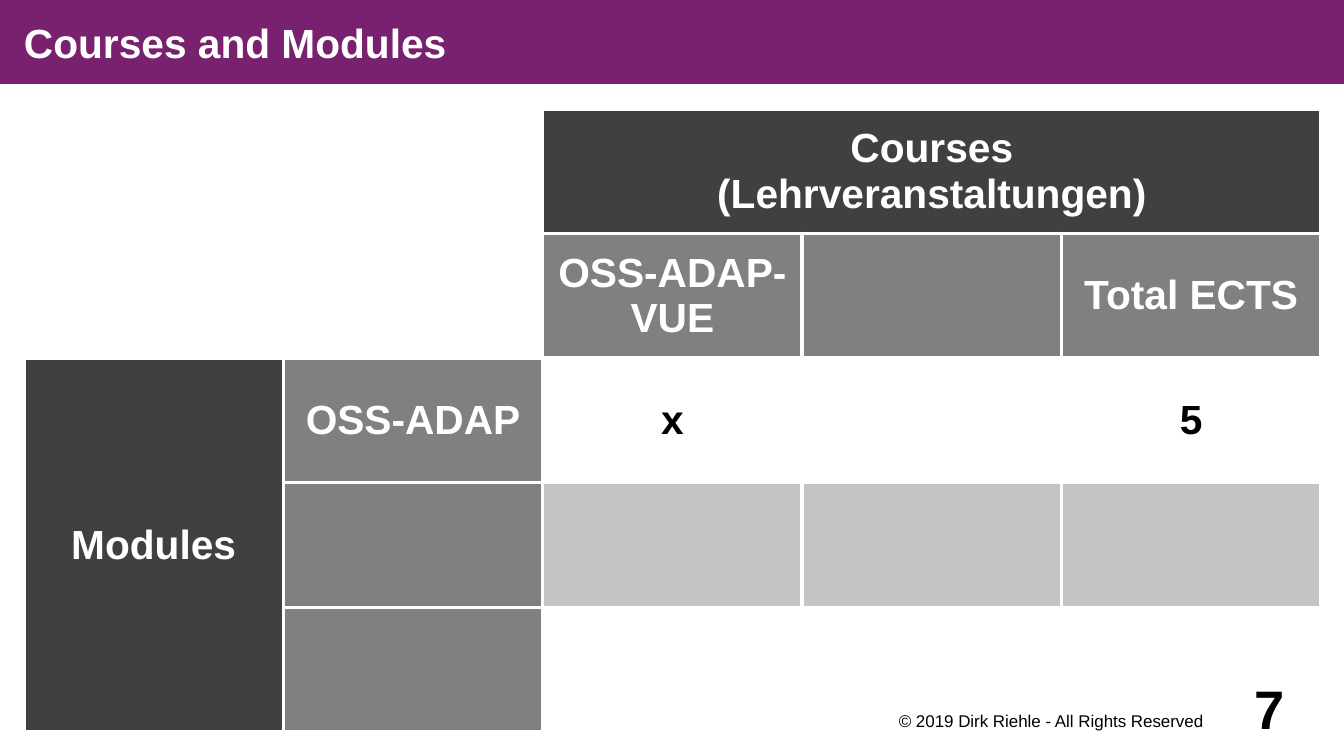
from lxml import etree
from pptx import Presentation
from pptx.dml.color import RGBColor
from pptx.enum.shapes import MSO_SHAPE
from pptx.enum.text import MSO_ANCHOR, PP_ALIGN
from pptx.oxml.ns import qn
from pptx.util import Pt

RECTANGLE = MSO_SHAPE.RECTANGLE
TOP, MIDDLE = MSO_ANCHOR.TOP, MSO_ANCHOR.MIDDLE
LEFT, CENTER, RIGHT = PP_ALIGN.LEFT, PP_ALIGN.CENTER, PP_ALIGN.RIGHT

FONT = "Arial"
COLORS = {
    "purple": "77216F", "white": "FFFFFF", "black": "000000",
    "dark": "404040", "gray": "808080", "light": "C4C4C4",
}
TITLE = "Courses and Modules"
COPYRIGHT = "© 2019 Dirk Riehle - All Rights Reserved"
PAGE_NUMBER = "7"

# Each cell is (text, fill)
ROWS = [
    [("", "white"), ("", "white"), ("Courses\n(Lehrveranstaltungen)", "dark"),
     ("", "dark"), ("", "dark")],
    [("", "white"), ("", "white"), ("OSS-ADAP-VUE", "gray"), ("", "gray"),
     ("Total ECTS", "gray")],
    [("Modules", "dark"), ("OSS-ADAP", "gray"), ("x", "white"), ("", "white"),
     ("5", "white")],
    [("", "dark"), ("", "gray"), ("", "light"), ("", "light"), ("", "light")],
    [("", "dark"), ("", "gray"), ("", "white"), ("", "white"), ("", "white")],
]
MERGES = [((0, 2), (0, 4)), ((2, 0), (4, 0))]

# Lengths in px
SLIDE_SIZE = (1344, 756)
TITLE_BOX = (0, 0, 1344, 84)
TABLE_BOX = (24, 109, 1297, 623)
COPYRIGHT_BOX = (865, 709, 384, 37)
NUMBER_BOX = (1225, 672, 96, 72)
TITLE_INSETS = (24, 0, 0, 0)
CELL_INSETS = (10, 6, 10, 6)
COPYRIGHT_INSETS = (0, 2, 46, 0)
NUMBER_INSETS = (0, 0, 36, 0)
BORDER_POINTS = 2.27


def px(length):
    return round(length * 914400 / 122)


def rgb(name):
    return RGBColor.from_string(COLORS[name])


def write(frame, text, size, color, bold, align):
    """Fill the first paragraph, with a line break at each newline."""
    paragraph = frame.paragraphs[0]
    paragraph.alignment = align
    for index, line in enumerate(text.split("\n")):
        if index:
            paragraph.add_line_break()
        run = paragraph.add_run()
        run.text = line
        run.font.name = FONT
        run.font.size = Pt(size)
        run.font.bold = bold
        run.font.color.rgb = rgb(color)


def set_insets(holder, insets):
    """Set the margins of a text frame or a table cell."""
    (holder.margin_left, holder.margin_top,
     holder.margin_right, holder.margin_bottom) = map(px, insets)


def add_label(slide, box, insets, anchor, text, size, bold):
    frame = slide.shapes.add_textbox(*map(px, box)).text_frame
    frame.word_wrap = True
    frame.vertical_anchor = anchor
    set_insets(frame, insets)
    write(frame, text, size, "black", bold, RIGHT)


def add_title(slide):
    bar = slide.shapes.add_shape(RECTANGLE, *map(px, TITLE_BOX))
    bar.shadow.inherit = False
    bar.fill.solid()
    bar.fill.fore_color.rgb = rgb("purple")
    bar.line.fill.background()
    frame = bar.text_frame
    frame.word_wrap = True
    frame.vertical_anchor = MIDDLE
    set_insets(frame, TITLE_INSETS)
    write(frame, TITLE, 24, "white", True, LEFT)


def add_borders(cell):
    """Draw white lines on all four sides; they must precede the fill."""
    properties = cell._tc.get_or_add_tcPr()
    for index, side in enumerate(("a:lnL", "a:lnR", "a:lnT", "a:lnB")):
        line = etree.Element(qn(side), w=str(Pt(BORDER_POINTS)))
        fill = etree.SubElement(line, qn("a:solidFill"))
        etree.SubElement(fill, qn("a:srgbClr"), val=COLORS["white"])
        properties.insert(index, line)


def add_module_table(slide):
    row_count, column_count = len(ROWS), len(ROWS[0])
    table = slide.shapes.add_table(
        row_count, column_count, *map(px, TABLE_BOX)).table
    table.first_row = False
    table.horz_banding = False
    for column in table.columns:
        column.width = px(TABLE_BOX[2] / column_count)
    for row in table.rows:
        row.height = px(TABLE_BOX[3] / row_count)
    for row_index, row in enumerate(ROWS):
        for column_index, (text, fill) in enumerate(row):
            cell = table.cell(row_index, column_index)
            cell.fill.solid()
            cell.fill.fore_color.rgb = rgb(fill)
            cell.vertical_anchor = MIDDLE
            set_insets(cell, CELL_INSETS)
            add_borders(cell)
            if text:
                color = "black" if fill == "white" else "white"
                write(cell.text_frame, text, 24, color, True, CENTER)
    for first, last in MERGES:
        table.cell(*first).merge(table.cell(*last))


def main():
    presentation = Presentation()
    presentation.slide_width, presentation.slide_height = map(px, SLIDE_SIZE)
    slide = presentation.slides.add_slide(presentation.slide_layouts[6])
    add_title(slide)
    add_module_table(slide)
    add_label(slide, COPYRIGHT_BOX, COPYRIGHT_INSETS, TOP, COPYRIGHT, 10, False)
    add_label(slide, NUMBER_BOX, NUMBER_INSETS, MIDDLE, PAGE_NUMBER, 32, True)
    presentation.save("out.pptx")


if __name__ == "__main__":
    main()
